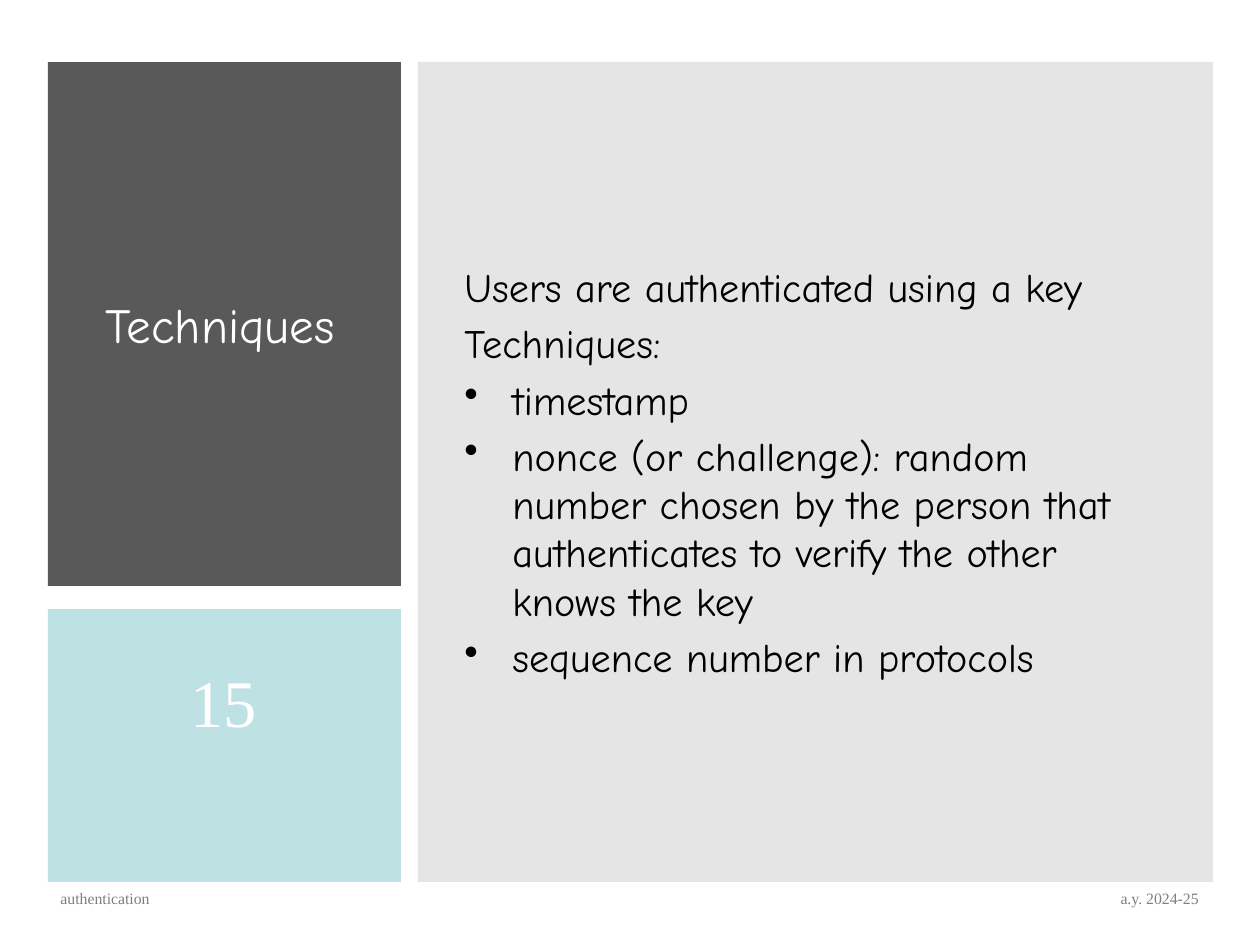
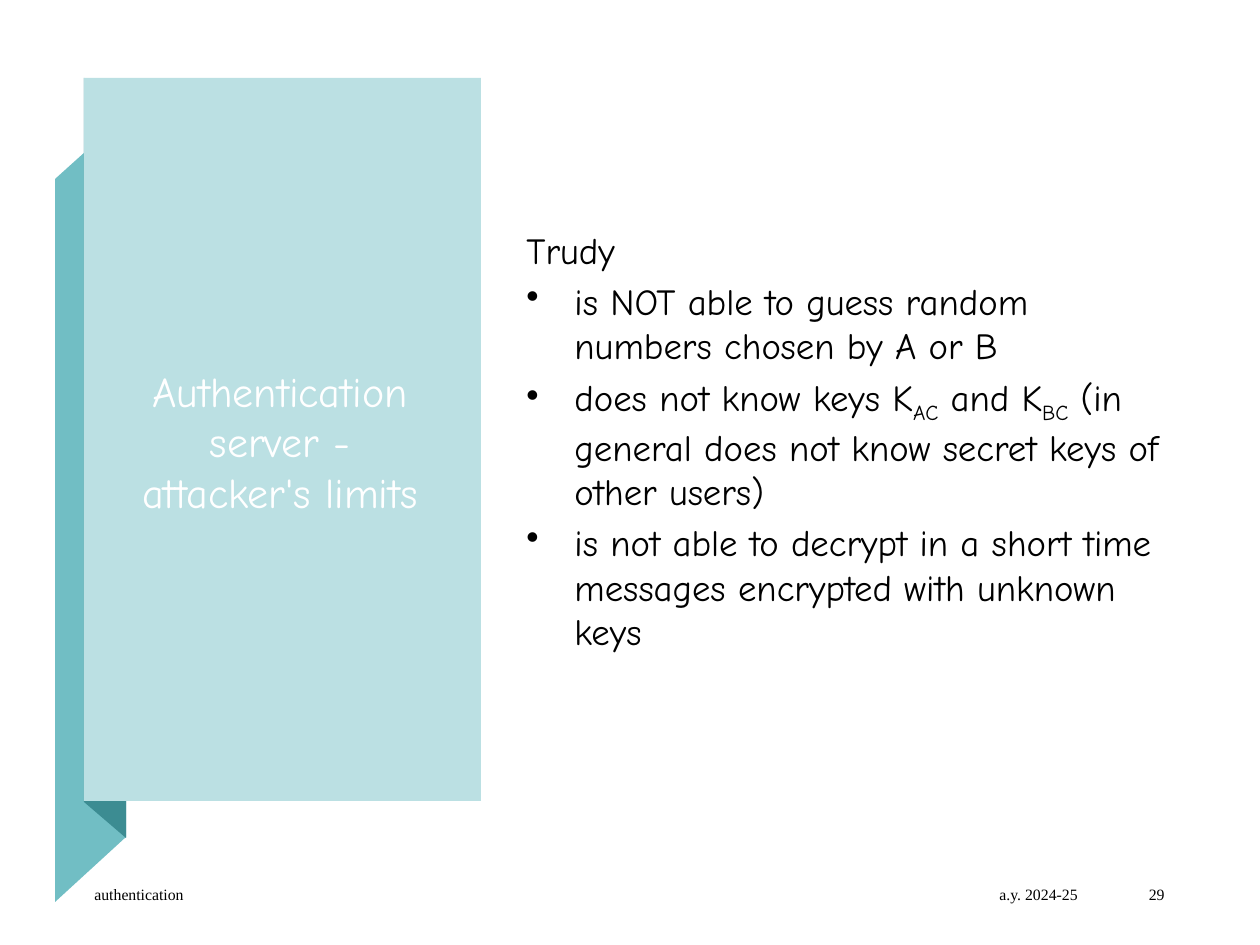
from dataclasses import dataclass

from lxml import etree
from pptx import Presentation, util as u
from pptx.dml.color import RGBColor
from pptx.enum import shapes, text
from pptx.oxml.ns import qn

LEFT, CENTER, RIGHT = text.PP_ALIGN.LEFT, text.PP_ALIGN.CENTER, text.PP_ALIGN.RIGHT
TOP, MIDDLE = text.MSO_ANCHOR.TOP, text.MSO_ANCHOR.MIDDLE


@dataclass(frozen=True)
class Theme:
    """Colours, fonts and type sizes shared by the slides."""
    white: str = "FFFFFF"
    black: str = "000000"
    charcoal: str = "595959"
    gray: str = "7F7F7F"
    aqua: str = "BBE0E3"
    ribbon: str = "71BEC4"
    fold: str = "3C8C92"
    hand: str = "Comic Neue"
    serif: str = "Times New Roman"
    footer: int = 9
    number: int = 38
    indent: int = 48
    space_ratio: float = 0.2


T = Theme()


def px(n):
    """Turn pixels at 126 to the inch into EMU."""
    return u.Emu(round(n * 914400 / 126))


def paint(sp, color, opacity=100):
    """Fill a shape flat, without line or shadow."""
    sp.shadow.inherit = False
    sp.line.fill.background()
    sp.fill.solid()
    sp.fill.fore_color.rgb = RGBColor.from_string(color)
    if opacity < 100:
        clr = sp._element.spPr.find(qn("a:solidFill"))[0]
        etree.SubElement(clr, qn("a:alpha"), val=str(opacity * 1000))


def block(parent, box, color, opacity=100):
    """Add a plain rectangle."""
    sp = parent.add_shape(shapes.MSO_SHAPE.RECTANGLE, *map(px, box))
    paint(sp, color, opacity)


def outline(parent, points, color):
    """Add a closed polygon through the points."""
    start, *rest = [(px(x), px(y)) for x, y in points]
    builder = parent.build_freeform(*start)
    builder.add_line_segments(rest, close=True)
    paint(builder.convert_to_shape(), color)


def frame(s, box, anchor=TOP):
    """Add an empty wrapping text box and return its text frame."""
    tf = s.shapes.add_textbox(*map(px, box)).text_frame
    tf.word_wrap = True
    tf.vertical_anchor = anchor
    return tf


def add_run(p, words, size, font, color, subscript=False):
    """Add one styled run to a paragraph."""
    r = p.add_run()
    r.text = words
    r.font.size = u.Pt(size)
    r.font.name = font
    r.font.color.rgb = RGBColor.from_string(color)
    if subscript:
        r._r.get_or_add_rPr().set("baseline", "-25000")


def label(s, box, words, size, font, color, align=LEFT, anchor=TOP):
    """Add a text box holding a single run."""
    p = frame(s, box, anchor).paragraphs[0]
    p.alignment = align
    add_run(p, words, size, font, color)


def title(s, box, words, size):
    """Add a white centred title."""
    label(s, box, words, size, T.hand, T.white, CENTER, MIDDLE)


def hang(p, bulleted):
    """Give a paragraph its hanging indent and optional bullet."""
    pPr = p._p.get_or_add_pPr()
    pPr.set("marL", str(px(T.indent)))
    pPr.set("indent", str(-px(T.indent)))
    if bulleted:
        clr = etree.SubElement(pPr, qn("a:buClr"))
        etree.SubElement(clr, qn("a:srgbClr"), val=T.black)
        etree.SubElement(pPr, qn("a:buChar"), char="•")
    else:
        etree.SubElement(pPr, qn("a:buNone"))


def body(s, box, intro, bullets, size):
    """Add intro lines, then bullets whose every second part is a subscript."""
    tf = frame(s, box, MIDDLE)
    rows = [([line], False) for line in intro] + [(parts, True) for parts in bullets]
    for i, (parts, bulleted) in enumerate(rows):
        p = tf.add_paragraph() if i else tf.paragraphs[0]
        hang(p, bulleted)
        if i:
            p.space_before = u.Pt(size * T.space_ratio)
        for j, part in enumerate(parts):
            add_run(p, part, size, T.hand, T.black, j % 2 == 1)


def footer(s, left, date, color):
    """Add the course name at the left and the year at the right."""
    label(s, left, "authentication", T.footer, T.serif, color)
    label(s, date, "a.y. 2024-25", T.footer, T.serif, color, RIGHT)


def title_tile(s, x, y, w, h, words):
    """Draw the dark tile with its title."""
    block(s.shapes, (x, y, w, h), T.charcoal)
    title(s, (x + 33, y + 39, w - 59, h - 78), words, 28)


def number_tile(s, x, y, w, h, number):
    """Draw the aqua tile with the slide number."""
    block(s.shapes, (x, y, w, h), T.aqua, 95)
    label(s, (x + 74, y + 46, w - 149, h - 93), number, T.number, T.serif, T.white, CENTER)


def text_panel(s, x, y, w, h, intro, bullets):
    """Draw the pale panel with the body text."""
    block(s.shapes, (x, y, w, h), T.gray, 20)
    body(s, (x + 34, y + 32, w - 68, h - 65), intro, bullets, 23)


def ribbon_panel(s, x, y, w, h, words):
    """Draw the folded ribbon with its title."""
    group = s.shapes.add_group_shape().shapes
    edge, inner, bottom = x - 29, x + 42, y + h
    outline(group, [(edge, bottom + 101), (inner, bottom + 36),
                    (inner, y + 37), (edge, y + 101)], T.ribbon)
    outline(group, [(x, bottom + 1), (inner, bottom + 37),
                    (inner, y + 36), (x, y)], T.fold)
    block(group, (x, y, w, h), T.aqua)
    title(s, (x + 29, y + 44, w - 63, h - 85), words, 24)


def tiles_slide(s):
    """Build the slide of tiles on techniques."""
    title_tile(s, 48, 62, 353, 524, "Techniques ")
    number_tile(s, 48, 609, 353, 273, "15")
    text_panel(s, 418, 62, 795, 820,
               ["Users are authenticated using a key", "Techniques:"],
               [["timestamp"],
                ["nonce (or challenge): random number chosen by the person that "
                 "authenticates to verify the other knows the key"],
                ["sequence number in protocols"]])
    footer(s, (48, 883, 689, 50), (927, 883, 284, 50), T.gray)


def ribbon_slide(s):
    """Build the ribbon slide on the attacker's limits."""
    ribbon_panel(s, 84, 78, 397, 723, "Authentication server - attacker's limits")
    body(s, (514, 122, 674, 636), ["Trudy"],
         [["is NOT able to guess random numbers chosen by A or B"],
          ["does not know keys K", "AC", " and K", "BC",
           " (in general does not know secret keys of other users)"],
          ["is not able to decrypt in a short time messages encrypted with unknown keys"]],
         21)
    footer(s, (82, 879, 698, 44), (798, 879, 292, 44), T.black)
    label(s, (1106, 879, 71, 44), "29", T.footer, T.serif, T.black, RIGHT)


def main():
    """Build and save the presentation."""
    prs = Presentation()
    prs.slide_width, prs.slide_height = px(1260), px(945)
    for build in (tiles_slide, ribbon_slide):
        build(prs.slides.add_slide(prs.slide_layouts[6]))
    prs.save("out.pptx")


if __name__ == "__main__":
    main()
